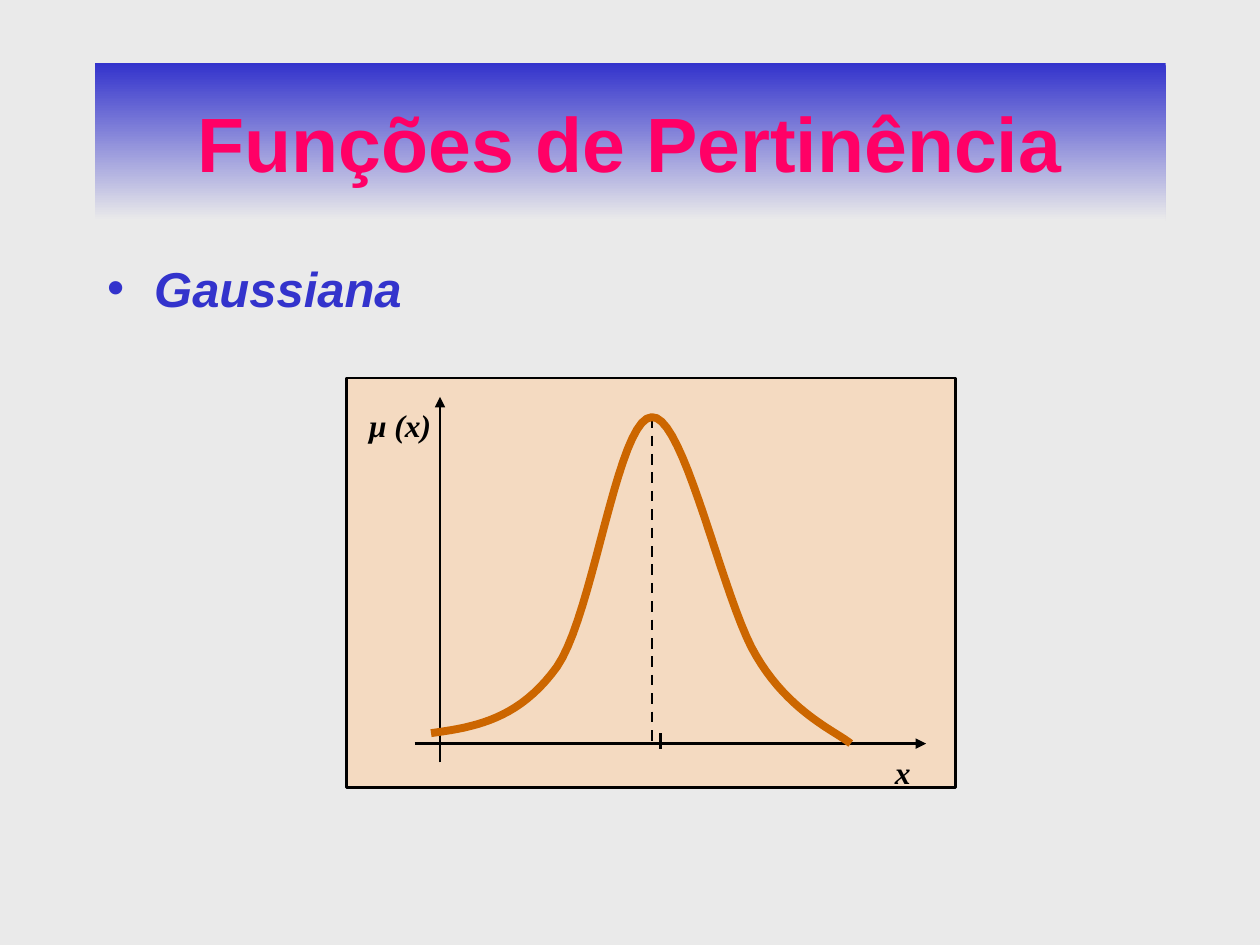
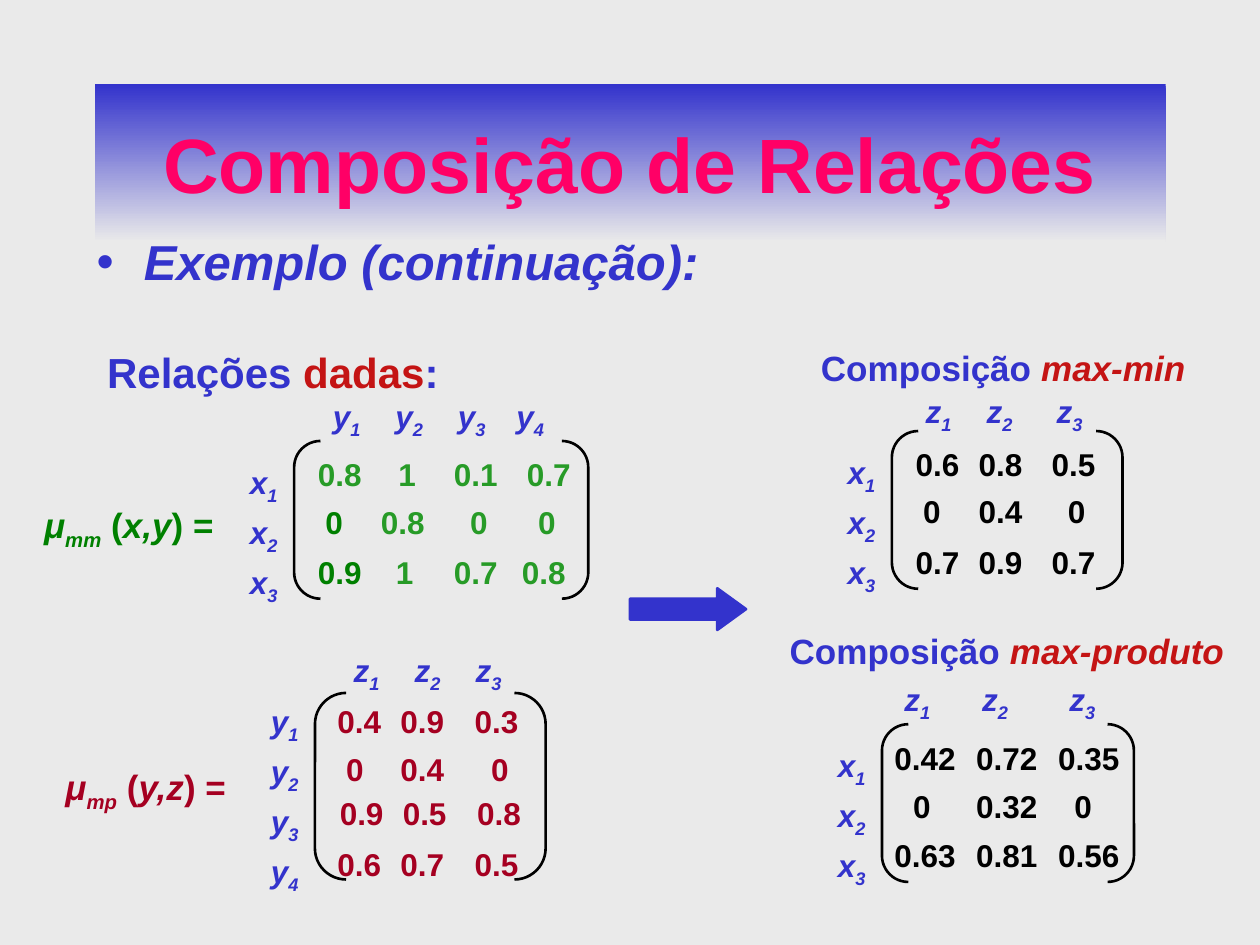
import pptx
import pptx.util
import pptx.dml.color
import pptx.enum.dml
import pptx.enum.shapes
import pptx.enum.text
import pptx.oxml
import pptx.oxml.ns
from lxml import etree

Cm, Pt = pptx.util.Cm, pptx.util.Pt
SHAPE = pptx.enum.shapes.MSO_SHAPE
TEXT = pptx.enum.text

HUES = {
    "page": "EAEAEA", "blue": "3333CC", "pink": "FF0066", "black": "000000",
    "sand": "FFCC99", "curve": "CC6600", "leaf": "279B27", "green": "008000",
    "wine": "A50021", "red": "C41414",
}
BASE = {"name": "Arial", "bold": True, "italic": False}
SUB = {"sub": True}


def hue(name):
    return pptx.dml.color.RGBColor.from_string(HUES[name])


def tag(parent, name, **attrs):
    node = etree.SubElement(parent, pptx.oxml.ns.qn("a:" + name))
    for key, value in attrs.items():
        node.set(key, str(value))
    return node


def fill_in(para, runs, size, tone, **look):
    """Add runs, each a (text, changes) pair, to a paragraph."""
    for text, change in runs:
        form = {**BASE, "size": Pt(size), "tone": tone, **look, **change}
        run = para.add_run()
        run.text = text
        run.font.color.rgb = hue(form.pop("tone"))
        if form.pop("sub", False):
            run.font._element.set("baseline", "-25000")
        for key, value in form.items():
            setattr(run.font, key, value)


def write(slide, box, lines, size, tone, wrap=False, **look):
    """Text box with one list of runs for each line."""
    left, top, width = box
    height = 0.25 + len(lines) * size * 0.045
    # first line sits a tenth of its size lower
    shape = slide.shapes.add_textbox(
        Cm(left), Cm(top) + Pt(size * 0.1), Cm(width), Cm(height))
    frame = shape.text_frame
    frame.word_wrap = wrap
    for i, runs in enumerate(lines):
        para = frame.add_paragraph() if i else frame.paragraphs[0]
        if i:
            para.space_before = Pt(4)
        fill_in(para, runs, size, tone, **look)
    return frame


def ink(line, tone="black", width=1.5):
    line.color.rgb = hue(tone)
    line.width = Pt(width)


def preset(slide, kind, box):
    shape = slide.shapes.add_shape(kind, *map(Cm, box))
    shape.shadow.inherit = False
    return shape


def stroke(slide, box, start, end, dash=False, arrow=False):
    """Straight line between two points given inside the box."""
    x, y = box[:2]
    line = slide.shapes.add_connector(
        pptx.enum.shapes.MSO_CONNECTOR.STRAIGHT,
        Cm(x + start[0]), Cm(y + start[1]), Cm(x + end[0]), Cm(y + end[1]))
    ink(line.line)
    if dash:
        line.line.dash_style = pptx.enum.dml.MSO_LINE.DASH
    if arrow:
        tag(line.line._get_or_add_ln(), "tailEnd", type="triangle")
    tag(line._element.spPr, "effectLst")


# Shared parts: page, title band, bullet
def page(deck, title, top):
    slide = deck.slides.add_slide(deck.slide_layouts[6])
    back = slide.background.fill
    back.solid()
    back.fore_color.rgb = hue("page")
    band = preset(slide, SHAPE.RECTANGLE, (1.91, top, 21.59, 3.18))
    band.line.fill.background()
    band.fill.gradient()
    band.fill.gradient_angle = 270
    for stop, tone, place in zip(band.fill.gradient_stops, ("blue", "page"), (0, 1)):
        stop.color.rgb = hue(tone)
        stop.position = place
    frame = band.text_frame
    frame.word_wrap = True
    frame.vertical_anchor = TEXT.MSO_ANCHOR.MIDDLE
    para = frame.paragraphs[0]
    para.alignment = TEXT.PP_ALIGN.CENTER
    fill_in(para, [(title, {})], 44, "pink")
    return slide


def bullet(slide, box, text):
    frame = write(slide, box, [[(text, {})]], 28, "blue", wrap=True, italic=True)
    props = frame.paragraphs[0]._p.get_or_add_pPr()
    props.set("marL", str(Cm(0.95)))
    props.set("indent", str(-Cm(0.95)))
    tag(tag(props, "buClr"), "srgbClr", val=HUES["blue"])
    tag(props, "buFont", typeface="Arial")
    tag(props, "buChar", char="•")


# Gaussian plot
def bezier(knots, steps=20):
    """Points along joined cubic curves."""
    points = [knots[0]]
    for k in range(0, len(knots) - 1, 3):
        for n in range(1, steps + 1):
            t = n / steps
            parts = ((1 - t) ** 3, 3 * t * (1 - t) ** 2, 3 * t * t * (1 - t), t ** 3)
            points.append(tuple(
                sum(w * p[axis] for w, p in zip(parts, knots[k:k + 4]))
                for axis in (0, 1)))
    return points


def plot(slide, box):
    x, y = box[:2]
    panel = preset(slide, SHAPE.RECTANGLE, box)
    panel.fill.solid()
    panel.fill.fore_color.rgb = hue("sand")
    color = panel._element.spPr.find(".//" + pptx.oxml.ns.qn("a:srgbClr"))
    tag(color, "alpha", val=50000)
    ink(panel.line)

    # Axes, tick and centre line
    stroke(slide, box, (1.37, 7.37), (11.68, 7.37), arrow=True)
    stroke(slide, box, (6.32, 7.16), (6.32, 7.47))
    stroke(slide, box, (6.15, 0.79), (6.15, 7.37), dash=True)
    stroke(slide, box, (1.88, 7.75), (1.88, 0.38), arrow=True)

    # Bell curve
    knots = [(1.7, 7.16), (2.59, 7.04), (3.48, 6.88), (4.24, 5.82),
             (4.98, 4.75), (5.46, 0.81), (6.15, 0.79),
             (6.81, 0.74), (7.59, 4.52), (8.26, 5.61),
             (8.92, 6.73), (9.83, 7.11), (10.16, 7.37)]
    points = [(Cm(x + a), Cm(y + b)) for a, b in bezier(knots)]
    pen = slide.shapes.build_freeform(*points[0], scale=1.0)
    pen.add_line_segments(points[1:], close=False)
    bell = pen.convert_to_shape()
    bell.shadow.inherit = False
    bell.fill.background()
    ink(bell.line, "curve", 4.5)

    # Axis names
    for text, left, top, width in (("μ (x)", 0.2, 0.38, 1.78), ("x", 10.8, 7.37, 0.81)):
        write(slide, (x + left, y + top, width), [[(text, {})]], 18, "black",
              name="Times New Roman", italic=True)


# Matrix with row names, column names and cells
def matrix(slide, box, side, drop, head, tabs, tops, rows, tone, odd=()):
    """side and head are letters with (left, top) or tab places in the box."""
    x, y, width = box[:3]
    pair = preset(slide, SHAPE.DOUBLE_BRACKET, box)
    pair.adjustments[0] = 0.167
    pair.fill.background()
    ink(pair.line)

    names = [[(side, {}), (str(i + 1), SUB)] for i in range(len(rows))]
    write(slide, (x - 1.14, y + drop, 1.09), names, 18, "blue", italic=True)

    letter, left, top = head
    runs = []
    for i in range(len(tabs) + 1):
        runs += [("\t" * bool(i) + letter, {}), (str(i + 1), SUB)]
    frame = write(slide, (x + left, y + top, width), [runs], 18, "blue",
                  wrap=True, italic=True)
    stops = tag(frame.paragraphs[0]._p.get_or_add_pPr(), "tabLst")
    for place in tabs:
        tag(stops, "tab", pos=int(Cm(place)), algn="l")

    for r, (top, row) in enumerate(zip(tops, rows)):
        for c, (text, left) in enumerate(row):
            digits = len(text.replace(".", ""))
            wide = 0.51 + 0.35 * digits + 0.18 * ("." in text)
            write(slide, (x + left, y + top, wide), [[(text, {})]], 18,
                  "green" if (r, c) in odd else tone)


def formula(slide, box, index, args, tone):
    slant = {"italic": True}
    write(slide, box, [[("μ", slant), (index, {**slant, **SUB}), (" (", {}),
                        (args, slant), (") =", {})]], 20, tone, wrap=True)


def given(slide):
    write(slide, (1.91, 6.78, 8.36),
          [[("Relações ", {}), ("dadas", {"tone": "red"}), (":", {})]],
          24, "blue", wrap=True)
    formula(slide, (0.64, 9.96, 4.06), "mm", "x,y", "green")
    matrix(slide, (5.93, 8.89, 5.93, 3.18), "x", 0.25, ("y", 0.53, -1.07),
           (1.26, 2.52, 3.7), (0.1, 1.07, 2.06),
           [[("0.8", 0.23), ("1", 1.85), ("0.1", 2.97), ("0.7", 4.44)],
            [("0", 0.38), ("0.8", 1.5), ("0", 3.3), ("0", 4.67)],
            [("0.9", 0.23), ("1", 1.8), ("0.7", 2.97), ("0.8", 4.34)]],
           "leaf", odd=((1, 0), (2, 0)))
    formula(slide, (1.07, 15.24, 3.81), "mp", "y,z", "wine")
    matrix(slide, (6.35, 13.97, 4.65, 3.76), "y", 0, ("z", 0.53, -1.04),
           (1.23, 2.46), (0, 0.97, 1.85, 2.87),
           [[("0.4", 0.2), ("0.9", 1.47), ("0.3", 2.97)],
            [("0", 0.38), ("0.4", 1.47), ("0", 3.3)],
            [("0.9", 0.25), ("0.5", 1.52), ("0.8", 3.02)],
            [("0.6", 0.2), ("0.7", 1.47), ("0.5", 2.97)]], "wine")


def results(slide):
    for box, kind in (((16.3, 6.78, 8.36), "max-min"),
                      ((15.67, 12.5, 9.73), "max-produto")):
        write(slide, box, [[("Composição ", {}), (kind, {"tone": "red", "italic": True})]],
              20, "blue", wrap=True)
    matrix(slide, (17.98, 8.69, 4.65, 3.18), "x", 0.25, ("z", 0.43, -0.97),
           (1.23, 2.64), (0.1, 1.04, 2.06),
           [[("0.6", 0.23), ("0.8", 1.5), ("0.5", 2.97)],
            [("0", 0.38), ("0.4", 1.5), ("0", 3.3)],
            [("0.7", 0.23), ("0.9", 1.5), ("0.7", 2.97)]], "black")
    matrix(slide, (17.78, 14.6, 5.08, 3.18), "x", 0.25, ("z", 0.2, -1.07),
           (1.57, 3.33), (0.1, 1.07, 2.06),
           [[("0.42", 0), ("0.72", 1.65), ("0.35", 3.3)],
            [("0", 0.38), ("0.32", 1.65), ("0", 3.63)],
            [("0.63", 0), ("0.81", 1.65), ("0.56", 3.3)]], "black")


def arrow(slide, box):
    shape = preset(slide, SHAPE.RIGHT_ARROW, box)
    shape.adjustments[0], shape.adjustments[1] = 0.5, 0.69
    shape.fill.solid()
    shape.fill.fore_color.rgb = hue("blue")
    ink(shape.line, "blue")


def main():
    deck = pptx.Presentation()
    deck.slide_width, deck.slide_height = Cm(25.4), Cm(19.05)

    first = page(deck, "Funções de Pertinência", 1.27)
    bullet(first, (1.91, 4.99, 23.5), "Gaussiana")
    plot(first, (6.99, 7.62, 12.27, 8.26))

    second = page(deck, "Composição de Relações", 1.7)
    bullet(second, (1.7, 4.45, 21.59), "Exemplo (continuação):")
    given(second)
    arrow(second, (12.7, 11.86, 2.34, 0.84))
    results(second)

    deck.save("out.pptx")


if __name__ == "__main__":
    main()
